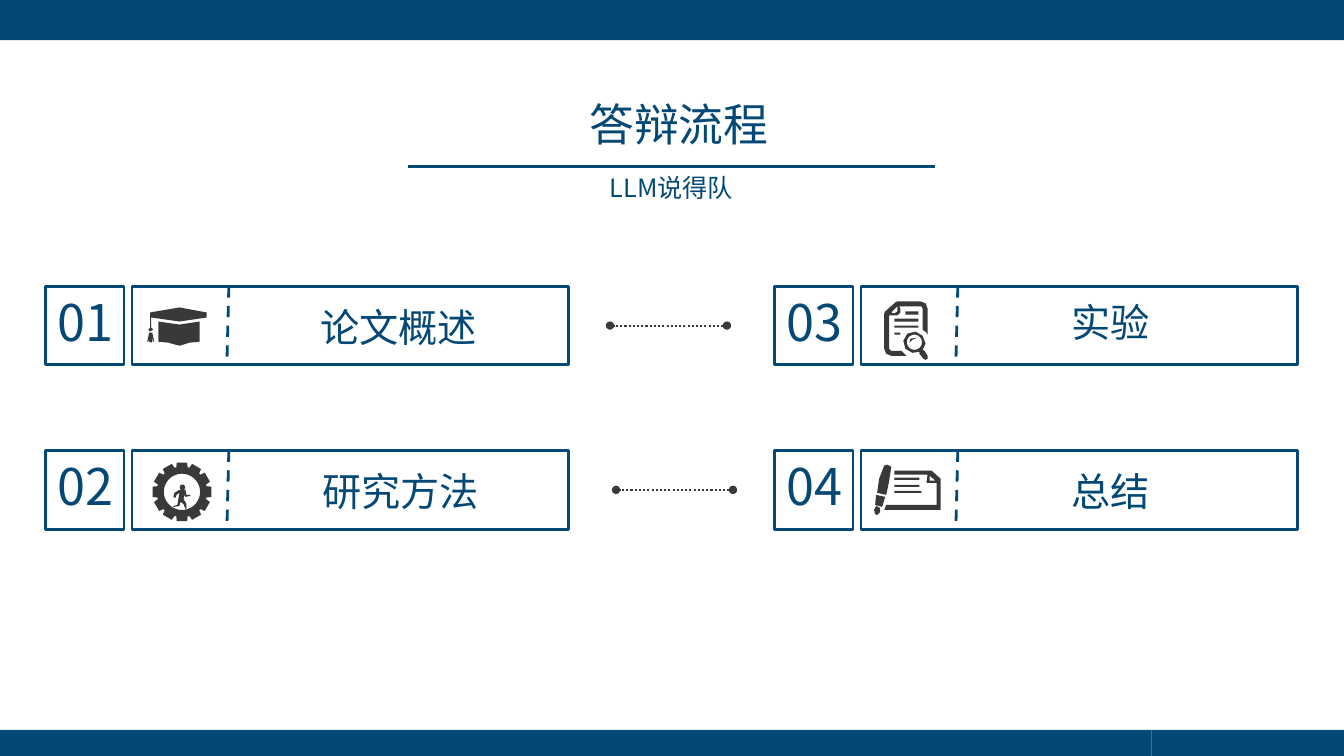
"""Build the defence agenda slide with four numbered, icon-marked sections."""
from dataclasses import dataclass
from math import cos, radians, sin

from lxml.etree import SubElement
from pptx import Presentation
from pptx.dml.color import RGBColor
from pptx.enum.dml import MSO_LINE_DASH_STYLE as DASH
from pptx.enum.shapes import MSO_CONNECTOR as CONN, MSO_SHAPE as SHAPE
from pptx.enum.text import MSO_ANCHOR as ANCHOR, MSO_AUTO_SIZE as AUTOSIZE, PP_ALIGN as ALIGN
from pptx.oxml.ns import qn
from pptx.util import Inches, Pt


@dataclass(frozen=True)
class Theme:
    navy: RGBColor = RGBColor(0x04, 0x48, 0x75)
    dark: RGBColor = RGBColor(0x3B, 0x38, 0x38)
    font: str = "Noto Sans CJK SC"
    number: int = 36
    title: int = 32
    label: int = 28
    subtitle: int = 18
    rule: float = 2
    dots: float = 1.5


THEME = Theme()
WIDTH, HEIGHT = 13.33, 7.5
COLUMNS = (0.45, 7.68)
ROWS = (2.84, 4.47)
BOX = 0.78
PANEL_X, PANEL_W = 0.86, 4.33


def circle(cx, cy, radius, steps=36):
    return [(cx + radius * cos(radians(360 * i / steps)),
             cy + radius * sin(radians(360 * i / steps))) for i in range(steps)]


def bar(x, y, w, h=2):
    return [(x, y), (x + w, y), (x + w, y + h), (x, y + h)]


def gear(cx, cy, tip=29.5, root=25, teeth=12):
    corners = ((-13, root), (-10, tip), (10, tip), (13, root))
    return [(cx + radius * cos(radians(360 / teeth * i + turn)),
             cy + radius * sin(radians(360 / teeth * i + turn)))
            for i in range(teeth) for turn, radius in corners]


CAP = [
    [(26, 55), (36, 56), (47, 59), (57, 56), (67, 55), (67, 35), (47, 38), (26, 35)],
    [(74, 26), (74, 31), (47, 35), (19, 31), (19, 41), (21, 43), (18, 45), (16, 43),
     (18, 41), (18, 26), (47, 21)],
    [(20, 46), (17, 46), (15, 55), (17, 54), (17, 55), (20, 56), (20, 51), (21, 55),
     (22, 55)],
]
RUNNER_GEAR = [
    gear(49.5, 41),
    circle(49.5, 41, 18),
    circle(50, 36.5, 2.7),
    [(41, 46), (42, 42), (47, 39), (53, 39), (54, 44), (58, 44), (58, 45), (53, 46),
     (52, 44), (51, 48), (54, 53), (54, 58), (53, 58), (51, 53), (48, 51), (47, 55),
     (41, 56), (41, 55), (45, 54), (46, 48), (47, 42), (44, 44), (43, 47)],
]
SEARCHED_PAGE = [
    [(36, 15), (59, 15), (64, 17), (66, 22), (66, 48), (65, 46), (61, 43), (61, 22),
     (60, 20), (38, 20), (39, 22), (39, 26), (37, 28), (35, 29), (28, 29), (28, 62),
     (30, 64), (40, 64), (45, 69), (30, 69), (25, 67), (23, 62), (23, 27), (24, 25),
     (34, 16)],
    [(36, 20), (30, 26), (33, 27), (36, 25)],
    bar(33, 46, 6), bar(33, 39, 24), bar(33, 32, 24, 3), bar(44, 25, 13, 3),
    [(46, 47), (42, 54), (44, 62), (51, 66), (58, 65), (58, 67), (62, 72), (64, 73),
     (66, 72), (66, 69), (63, 64), (61, 63), (64, 57), (61, 49), (54, 45)],
    circle(53, 55.5, 7.5),
    [(48, 56), (49, 52), (56, 51), (51, 53)],
]
PEN_PAPER = [
    [(23, 15), (26, 14), (30, 16), (28, 30), (25, 44), (16, 42), (18, 28)],
    [(15, 44), (24, 46), (21, 56), (14, 54)],
    [(15, 55), (19, 57), (19, 61), (16, 64), (14, 63), (13, 59)],
    [(25, 54), (23, 59), (79, 59), (79, 28), (70, 20), (33, 20), (33, 24), (66, 24),
     (65, 32), (75, 32), (75, 54)],
    [(74, 30), (68, 30), (68, 25)],
    bar(33, 40, 27), bar(33, 34, 25), bar(33, 27, 25),
]
SECTIONS = (
    ("01", "论文概述", CAP, 0, 0, 1.95, 0.12),
    ("02", "研究方法", RUNNER_GEAR, 0, 1, 1.97, 0.12),
    ("03", "实验", SEARCHED_PAGE, 1, 0, 1.78, 0.07),
    ("04", "总结", PEN_PAPER, 1, 1, 1.78, 0.12),
)


def place(sp, x, y, w, h):
    sp.left, sp.top, sp.width, sp.height = (Inches(v) for v in (x, y, w, h))


def write(sp, text, *, size, color=THEME.navy, align=ALIGN.CENTER):
    tf = sp.text_frame
    tf.word_wrap = True
    tf.auto_size = AUTOSIZE.NONE
    tf.vertical_anchor = ANCHOR.TOP
    p = tf.paragraphs[0]
    p.alignment = align
    r = p.add_run()
    r.text = text
    r.font.size = Pt(size)
    r.font.name = THEME.font
    r.font.color.rgb = color
    SubElement(r.font._element, qn("a:ea"), typeface=THEME.font)


def add_text(slide, text, x, y, w, h, **style):
    write(slide.shapes.add_textbox(*map(Inches, (x, y, w, h))), text, **style)


def add_rect(slide, x, y, w, h, filled=False):
    sp = slide.shapes.add_shape(SHAPE.RECTANGLE, *map(Inches, (x, y, w, h)))
    sp.shadow.inherit = False
    if filled:
        sp.fill.solid()
        sp.fill.fore_color.rgb = THEME.navy
        sp.line.fill.background()
    else:
        sp.fill.background()
        sp.line.color.rgb = THEME.navy
        sp.line.width = Pt(THEME.rule)


def add_line(slide, x1, y1, x2, y2, color=THEME.navy, width=THEME.rule, dash=None, ovals=False):
    sp = slide.shapes.add_connector(CONN.STRAIGHT, *map(Inches, (x1, y1, x2, y2)))
    sp.line.color.rgb = color
    sp.line.width = Pt(width)
    if dash:
        sp.line.dash_style = dash
    if ovals:
        ln = sp.line._get_or_add_ln()
        for end in ("a:headEnd", "a:tailEnd"):
            SubElement(ln, qn(end), type="oval")
    SubElement(sp._element.spPr, qn("a:effectLst"))


def add_icon(slide, contours, x, y):
    outlines = [[(Inches(px / 100), Inches(py / 100)) for px, py in c] for c in contours]
    builder = slide.shapes.build_freeform(*outlines[0][0])
    for i, outline in enumerate(outlines):
        if i:
            builder.move_to(*outline[0])
        builder.add_line_segments(outline[1:], close=True)
    sp = builder.convert_to_shape(Inches(x), Inches(y))
    sp.shadow.inherit = False
    sp.fill.solid()
    sp.fill.fore_color.rgb = THEME.dark
    sp.line.fill.background()


def add_section(slide, number, label, icon, column, row, label_x, label_y):
    x, y = COLUMNS[column], ROWS[row]
    panel = x + PANEL_X
    add_rect(slide, x, y, BOX, BOX)
    add_text(slide, number, x - 0.11, y, 1.01, 0.71, size=THEME.number)
    add_rect(slide, panel, y, PANEL_W, BOX)
    add_line(slide, panel + 0.96, y, panel + 0.94, y + BOX, dash=DASH.DASH)
    add_icon(slide, icon, panel, y)
    add_text(slide, label, x + label_x, y + label_y, 3.11, 0.57, size=THEME.label)


def main():
    prs = Presentation()
    prs.slide_width, prs.slide_height = Inches(WIDTH), Inches(HEIGHT)
    slide = prs.slides.add_slide(prs.slide_layouts[5])
    title = slide.shapes.title
    place(title, 2.4, 0.91, 8.67, 0.64)
    write(title, "答辩流程", size=THEME.title)
    add_text(slide, "LLM说得队", 3.78, 1.66, 5.76, 0.4, size=THEME.subtitle)
    add_line(slide, 4.05, 1.65, 9.27, 1.65)
    for section in SECTIONS:
        add_section(slide, *section)
    for x, y in zip((6.05, 6.11), ROWS):
        middle = y + BOX / 2
        add_line(slide, x + 1.16, middle, x, middle, color=THEME.dark,
                 width=THEME.dots, dash=DASH.ROUND_DOT, ovals=True)
    for x, y, w, h in ((0, 0, WIDTH, 0.4), (11.42, 7.24, 1.91, 0.26), (0, 7.24, 11.42, 0.26)):
        add_rect(slide, x, y, w, h, filled=True)
    prs.save("out.pptx")


if __name__ == "__main__":
    main()
